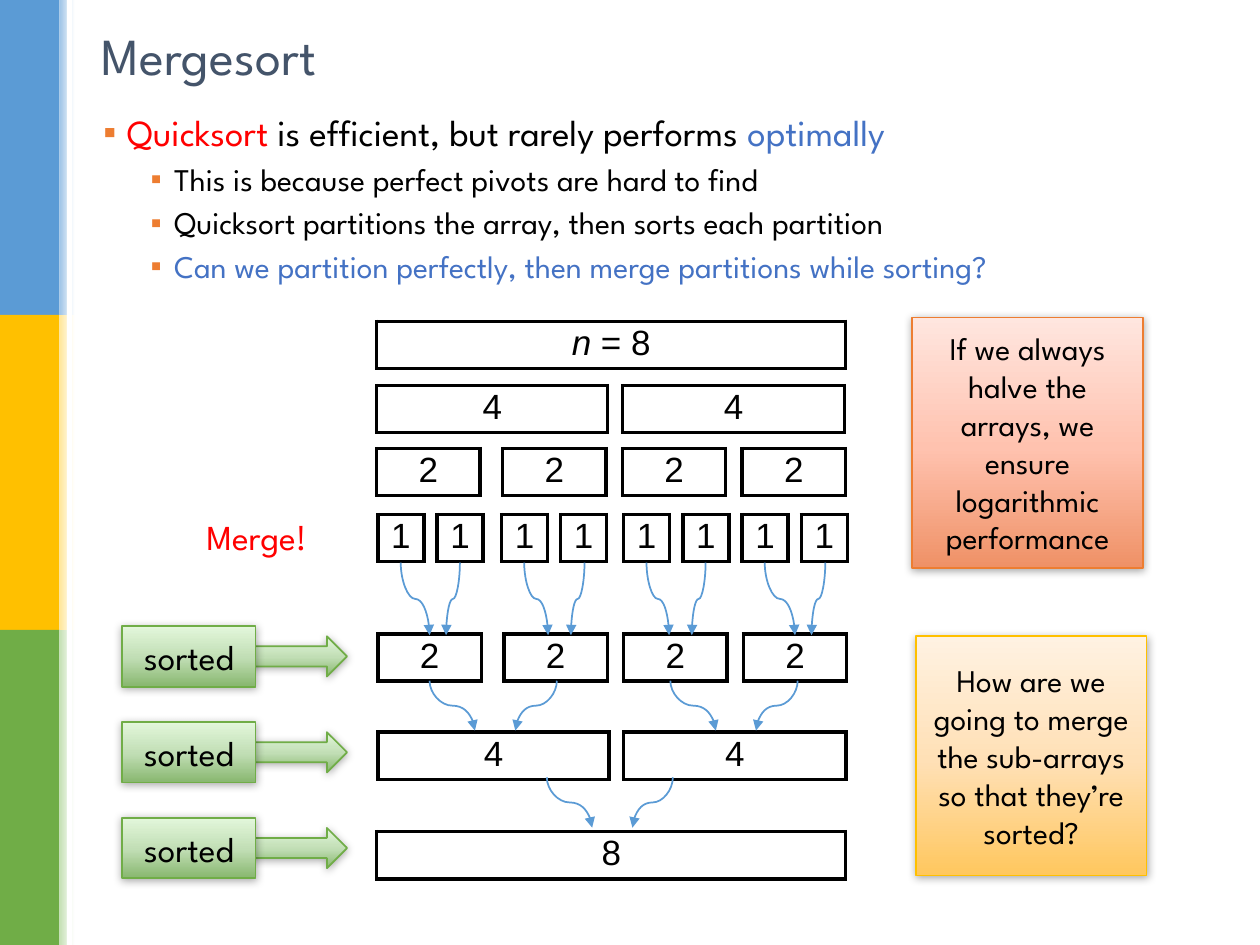
from lxml import etree
from pptx import Presentation
from pptx.dml.color import RGBColor
from pptx.enum.shapes import MSO_CONNECTOR, MSO_SHAPE
from pptx.enum.text import MSO_ANCHOR, MSO_AUTO_SIZE, PP_ALIGN
from pptx.oxml import parse_xml
from pptx.oxml.ns import nsdecls, qn
from pptx.util import Pt

RECT, ARROW, CURVE = MSO_SHAPE.RECTANGLE, MSO_SHAPE.RIGHT_ARROW, MSO_CONNECTOR.CURVE
MIDDLE, CENTER, LEFT = MSO_ANCHOR.MIDDLE, PP_ALIGN.CENTER, PP_ALIGN.LEFT
NO_FIT = MSO_AUTO_SIZE.NONE

BLACK, WHITE = RGBColor(0, 0, 0), RGBColor(255, 255, 255)
SLATE = RGBColor(0x44, 0x54, 0x6A)
RED = RGBColor(0xFF, 0, 0)
BLUE = RGBColor(0x44, 0x72, 0xC4)
SKY = RGBColor(0x5B, 0x9B, 0xD5)
GOLD = RGBColor(0xFF, 0xC0, 0)
GREEN = RGBColor(0x70, 0xAD, 0x47)
ORANGE = RGBColor(0xED, 0x7D, 0x31)
FONT, BOX_FONT = "League Spartan", "Arial"

# Content
BANDS = [(SKY, "9DC3E6"), (GOLD, "FFE699"), (GREEN, "C5E0B4")]
BULLETS = [
    (0, 21, [("Quicksort", RED), (" is efficient, but rarely performs ", BLACK),
             ("optimally", BLUE)]),
    (1, 18, [("This is because perfect pivots are hard to find", BLACK)]),
    (1, 18, [("Quicksort partitions the array, then sorts each partition", BLACK)]),
    (1, 18, [("Can we partition perfectly, then merge partitions while sorting?", BLUE)]),
]
GREEN_STOPS = [(0, "88B76F"), (48, "C1DEB5"), (100, "E3F7DB")]
ORANGE_STOPS = [(0, "EF9166"), (48, "FFC2AF"), (100, "FFE6DF")]
GOLD_STOPS = [(0, "FFC75E"), (48, "FFE0B6"), (100, "FFF2E2")]
NOTES = [
    (521.3, 181.4, 131.8, 143.3, ORANGE, ORANGE_STOPS,
     "If we always halve the arrays, we ensure logarithmic performance"),
    (523.4, 363.6, 131.8, 136.8, GOLD, GOLD_STOPS,
     "How are we going to merge the sub-arrays so that they’re sorted?"),
]

# Array boxes: left and width for each partition size
WHOLE = [(215.3, 268)]
HALVES = [(215.3, 132), (355.7, 127)]
QUARTERS = [(left, 59) for left in (215.3, 287.3, 355.7, 424.1)]
ONES = [(left + step, 26.3) for left in (216, 286.6, 356.4, 424.1) for step in (0, 33.8)]
LEVELS = [  # top, shift to the right, label, boxes
    (183.6, 0, "n = 8", WHOLE), (220.3, 0, "4", HALVES), (256.3, 0, "2", QUARTERS),
    (294, 0, "1", ONES), (362.2, 0.7, "2", QUARTERS), (418.3, 0.7, "4", HALVES),
    (475.2, 0, "8", WHOLE),
]
BOX_HEIGHT = 27

# Merge arrows: top, bottom, (start x, end x)
MERGES = [
    (321.5, 363, [(229, 245.5), (262.8, 254.9), (299.5, 313.2), (334, 326.2),
                  (369.4, 382.3), (403.2, 395.3), (437, 454.3), (471.6, 463.7)]),
    (389, 417.5, [(245.5, 271.4), (318.2, 294.5), (383, 409), (455.8, 432)]),
    (444.2, 473, [(312.5, 338.4), (384.5, 361.4)]),
]
SORTED_TOPS = [357.8, 412.6, 467.3]


def style(paragraph, size, color, font=FONT, align=LEFT):
    paragraph.alignment = align
    for run in paragraph.runs:
        run.font.name, run.font.size = font, Pt(size)
        run.font.color.rgb = color


def add_block(kind, left, top, width, height, color=None, stops=None, angle=270):
    block = slide.shapes.add_shape(kind, Pt(left), Pt(top), Pt(width), Pt(height))
    block.shadow.inherit = False
    block.line.fill.background()
    if stops:
        block.fill.gradient()
        gradient = block._element.spPr.find(qn("a:gradFill"))
        stop_list = gradient.find(qn("a:gsLst"))
        for old_stop in list(stop_list):
            stop_list.remove(old_stop)
        for position, tint in stops:
            stop = etree.SubElement(stop_list, qn("a:gs"), pos=str(position * 1000))
            etree.SubElement(stop, qn("a:srgbClr"), val=tint)
        gradient.find(qn("a:lin")).set("ang", str(angle * 60000))
    else:
        block.fill.solid()
        block.fill.fore_color.rgb = color
    return block


def add_raised(kind, left, top, width, height, color, stops, text="", size=20):
    block = add_block(kind, left, top, width, height, stops=stops)
    block.line.color.rgb = color
    block.line.width = Pt(1)
    block._element.spPr.find(qn("a:effectLst")).append(parse_xml(
        f'<a:outerShdw {nsdecls("a")} blurRad="63500" dist="12700" dir="5400000" '
        'rotWithShape="0"><a:srgbClr val="000000"><a:alpha val="32000"/></a:srgbClr>'
        '</a:outerShdw>'))
    if text:
        frame = block.text_frame
        frame.text = text
        frame.word_wrap = True
        frame.vertical_anchor = MIDDLE
        style(frame.paragraphs[0], size, BLACK, align=CENTER)


def add_array(left, top, width, label):
    table = slide.shapes.add_table(1, 1, Pt(left), Pt(top), Pt(width), Pt(BOX_HEIGHT)).table
    table.first_row = table.horz_banding = False
    cell = table.cell(0, 0)
    cell.margin_left = cell.margin_right = cell.margin_top = cell.margin_bottom = Pt(1.44)
    paragraph = cell.text_frame.paragraphs[0]
    if label.startswith("n"):
        paragraph.add_run().text = "n"
        paragraph.runs[0].font.italic = True
        label = label[1:]
    paragraph.add_run().text = label
    style(paragraph, 20, BLACK, BOX_FONT, CENTER)
    cell.fill.background()
    for index, side in enumerate("LRTB"):
        cell._tc.get_or_add_tcPr().insert(index, parse_xml(
            f'<a:ln{side} {nsdecls("a")} w="28575"><a:solidFill>'
            f'<a:srgbClr val="{BLACK}"/></a:solidFill></a:ln{side}>'))


def add_merge(start, end, top, bottom):
    # The curve is laid out sideways, then turned to run downwards
    x, y = (start + end) / 2, (top + bottom) / 2
    length, drift = bottom - top, abs(end - start)
    merge = slide.shapes.add_connector(CURVE, Pt(x - length / 2), Pt(y - drift / 2),
                                       Pt(x + length / 2), Pt(y + drift / 2))
    merge.line.color.rgb = SKY
    merge.line.width = Pt(1)
    properties = merge._element.spPr
    frame = properties.find(qn("a:xfrm"))
    frame.set("rot", "16200000" if end > start else "5400000")
    if end > start:
        frame.set("flipH", "1")
    etree.SubElement(properties.find(qn("a:ln")), qn("a:tailEnd"), type="triangle")
    etree.SubElement(properties, qn("a:effectLst"))


deck = Presentation()
deck.slide_width, deck.slide_height = Pt(720), Pt(540)
slide = deck.slides.add_slide(deck.slide_layouts[5])

# Side bands
for index, (color, tint) in enumerate(BANDS):
    add_block(RECT, 0, index * 180, 34, 180, color)
    add_block(RECT, 34, index * 180, 8.6, 180, stops=[(0, tint), (100, "FFFFFF")], angle=0)
add_block(RECT, 38.2, 0, 2.9, 540, WHITE)

# Title
title = slide.shapes.title
title.left, title.top, title.width, title.height = Pt(51), Pt(10), Pt(643), Pt(42)
title.text_frame.text = "Mergesort"
title.text_frame.auto_size = NO_FIT
title.text_frame.vertical_anchor = MIDDLE
style(title.text_frame.paragraphs[0], 29.7, SLATE)

# Bullets
points = slide.shapes.add_textbox(Pt(52), Pt(62), Pt(634), Pt(110)).text_frame
points.word_wrap = True
for index, (level, size, parts) in enumerate(BULLETS):
    paragraph = points.add_paragraph() if index else points.paragraphs[0]
    paragraph.level = level
    paragraph.line_spacing = 0.9
    paragraph.space_before = Pt(size * 0.3)
    for text, color in parts:
        paragraph.add_run().text = text
    style(paragraph, size, BLACK)
    for run, (text, color) in zip(paragraph.runs, parts):
        run.font.color.rgb = color
    properties = paragraph._p.get_or_add_pPr()
    properties.set("marL", str(Pt(13.5 + 27 * level)))
    properties.set("indent", str(Pt(-13.5)))
    bullet_color = etree.SubElement(properties, qn("a:buClr"))
    etree.SubElement(bullet_color, qn("a:srgbClr"), val=str(ORANGE))
    etree.SubElement(properties, qn("a:buFont"), typeface=BOX_FONT)
    etree.SubElement(properties, qn("a:buChar"), char="▪")

# Arrays and merges
for top, shift, label, boxes in LEVELS:
    for left, width in boxes:
        add_array(left + shift, top, width, label)
for top, bottom, pairs in MERGES:
    for start, end in pairs:
        add_merge(start, end, top, bottom)

# Merge label
merge_label = slide.shapes.add_textbox(Pt(111), Pt(291), Pt(91), Pt(31.5)).text_frame
merge_label.word_wrap = True
merge_label.text = "Merge!"
style(merge_label.paragraphs[0], 20, RED)

# Sorted tags and notes
for top in SORTED_TOPS:
    add_raised(ARROW, 132.8, top + 5.8, 65.5, 23, GREEN, GREEN_STOPS)
    add_raised(RECT, 69.8, top, 76.3, 34.6, GREEN, GREEN_STOPS, "sorted")
for left, top, width, height, color, stops, text in NOTES:
    add_raised(RECT, left, top, width, height, color, stops, text, 18)

deck.save("out.pptx")
